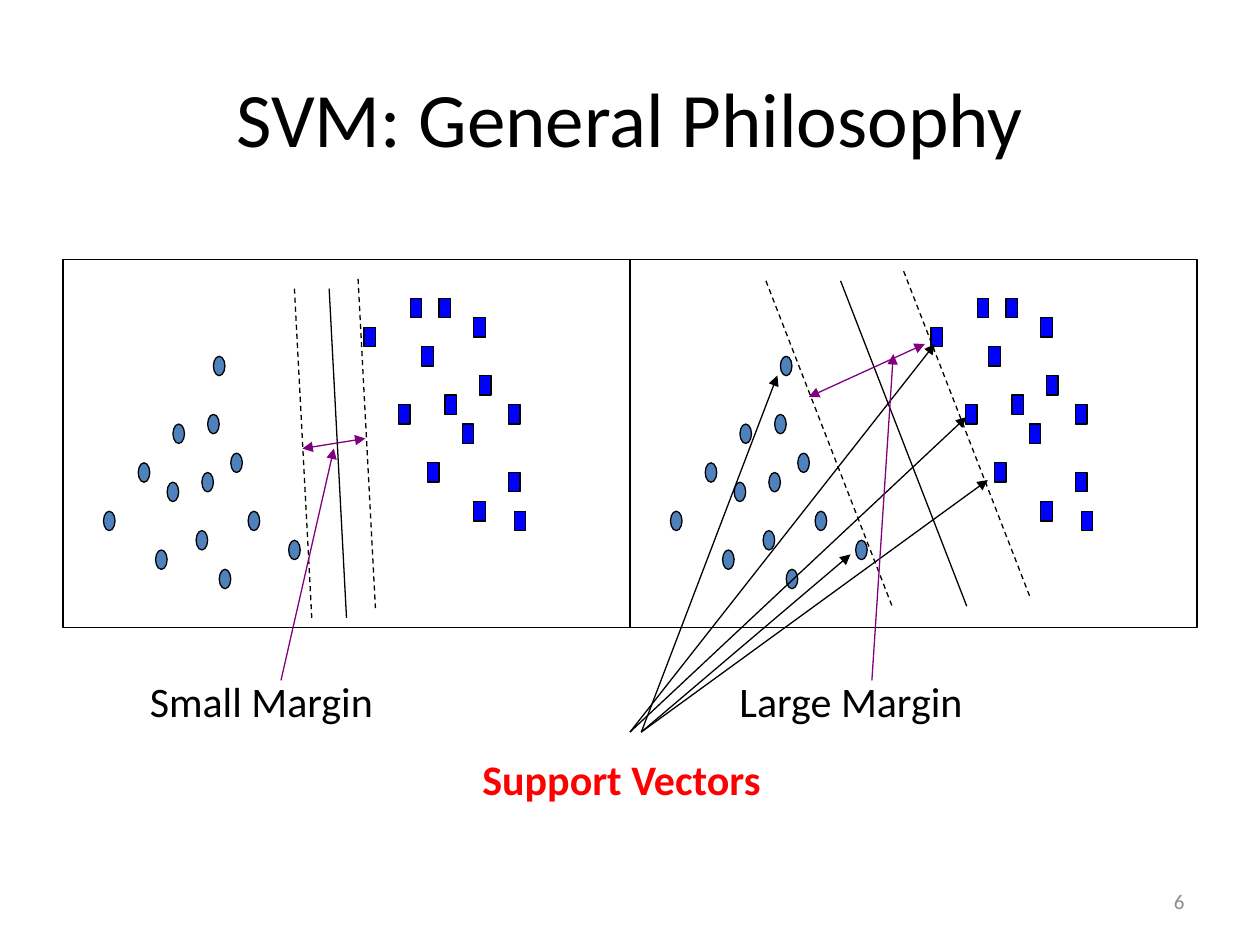
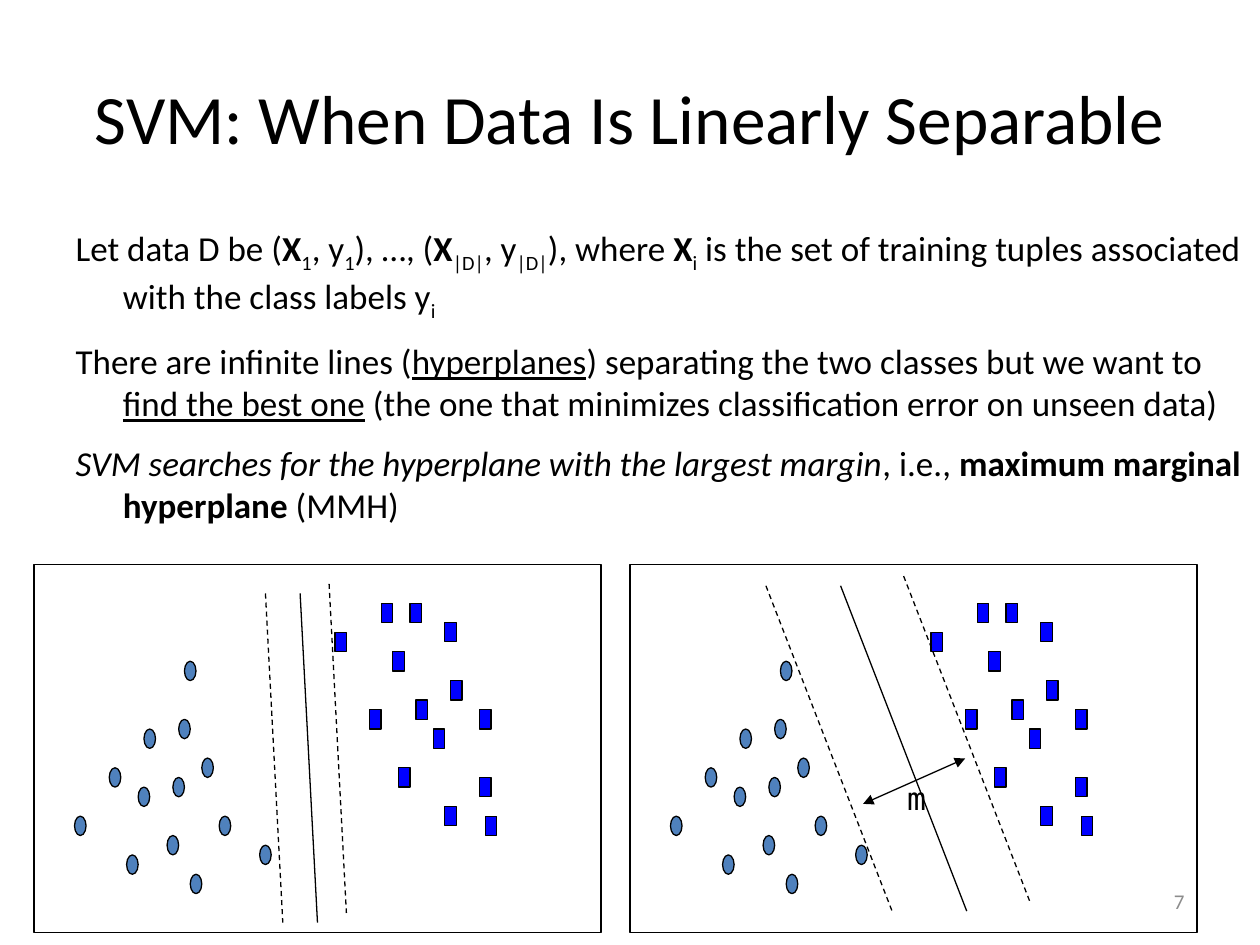
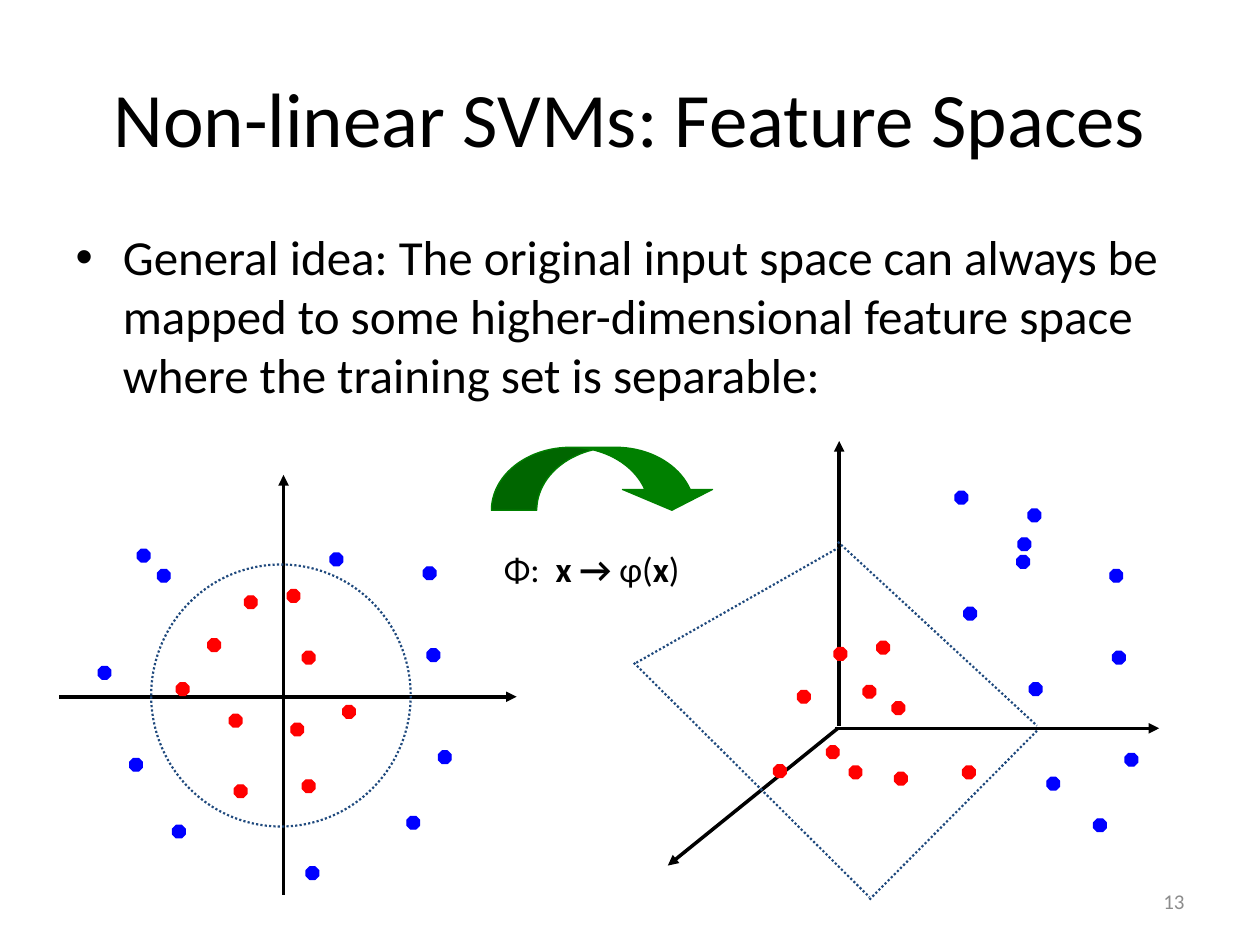
from lxml.etree import SubElement
from pptx import Presentation
from pptx.dml.color import RGBColor
from pptx.enum.dml import MSO_LINE
from pptx.enum.shapes import MSO_CONNECTOR, MSO_SHAPE
from pptx.enum.text import MSO_ANCHOR, MSO_AUTO_SIZE, PP_ALIGN
from pptx.oxml.ns import qn
from pptx.util import Inches, Pt

BLACK = RGBColor(0x00, 0x00, 0x00)
GRAY = RGBColor(0x8C, 0x8C, 0x8C)
RED = RGBColor(0xFF, 0x00, 0x00)
BLUE = RGBColor(0x00, 0x00, 0xFF)
STEEL = RGBColor(0x4F, 0x81, 0xBD)
NAVY = RGBColor(0x1F, 0x49, 0x7D)
PURPLE = RGBColor(0x80, 0x00, 0x80)
GREEN = RGBColor(0x00, 0x80, 0x00)

COLUMNS, ROWS = 100, 75  # slide grid
TITLE_ONLY, TITLE_AND_BODY = 5, 1  # template layouts

# Run styles
BOLD, ITALIC, UNDERLINE = {"bold": True}, {"italic": True}, {"underline": True}
SUBSCRIPT = {"baseline": "-25000"}

# Scatter panels: size on the slide grid, and the finer cells inside
PANEL_WIDTH, PANEL_HEIGHT = 45, 29.2
CELL_X, CELL_Y = PANEL_WIDTH / 98, PANEL_HEIGHT / 38
CIRCLE_CLASS = [(16, 30), (18, 23), (7, 26), (13, 21), (23, 28), (19, 17), (24, 22),
                (25, 16), (29, 20), (32, 26), (27, 32), (39, 29), (26, 10)]
SQUARE_CLASS = [(58, 15), (52, 7), (60, 4), (63, 21), (62, 9), (66, 14), (65, 4),
                (71, 6), (69, 17), (72, 12), (71, 25), (77, 15), (77, 22), (78, 26)]
# Each boundary: start cell, end cell, dash
SMALL_MARGIN = [((51, 2), (54, 36), MSO_LINE.DASH), ((40, 3), (43, 37), MSO_LINE.DASH),
                ((46, 3), (49, 37), None)]
LARGE_MARGIN = [((23.5, 2.2), (45.3, 35.8), MSO_LINE.DASH),
                ((47.3, 1.2), (69.1, 34.8), MSO_LINE.DASH),
                ((36.4, 2.2), (58.2, 35.8), None)]


class Deck:
    """Holds the shared style and the current slide; lengths are grid columns and rows."""

    def __init__(self):
        self.file = Presentation()
        self.file.slide_width, self.file.slide_height = Inches(10), Inches(7.5)
        self.slide = None

    def x(self, columns):
        return round(self.file.slide_width * columns / COLUMNS)

    def y(self, rows):
        return round(self.file.slide_height * rows / ROWS)

    def box(self, left, top, width, height):
        return self.x(left), self.y(top), self.x(width), self.y(height)

    def place(self, holder, box):
        for side, length in zip(("left", "top", "width", "height"), self.box(*box)):
            setattr(holder, side, length)

    def add_runs(self, paragraph, runs, size, color=BLACK, font="Calibri"):
        for words, style in runs:
            run = paragraph.add_run()
            run.text = words
            run.font.color.rgb = color
            for name, value in {"name": font, "size": Pt(size), **style}.items():
                if name == "baseline":
                    run.font._element.set(name, value)
                else:
                    setattr(run.font, name, value)

    def start(self, title, number, layout=TITLE_AND_BODY, size=44):
        self.slide = self.file.slides.add_slide(self.file.slide_layouts[layout])
        heading = self.slide.shapes.title
        self.place(heading, (5, 3, 90, 12.5))
        heading.text_frame.auto_size = MSO_AUTO_SIZE.NONE
        self.add_runs(heading.text_frame.paragraphs[0], [(title, {})], size)
        self.text((71.7, 69.5, 23.3, 4), [(number, {})], 12, GRAY,
                  align=PP_ALIGN.RIGHT, anchor=MSO_ANCHOR.MIDDLE)

    def body(self, paragraphs, size, width=90, bullets=True, gap=None):
        holder = self.slide.placeholders[1]
        self.place(holder, (5, 17.5, width, 49.5))
        frame = holder.text_frame
        frame.auto_size = MSO_AUTO_SIZE.NONE
        for index, runs in enumerate(paragraphs):
            paragraph = frame.add_paragraph() if index else frame.paragraphs[0]
            self.add_runs(paragraph, runs, size)
            if gap:
                paragraph.space_before = Pt(gap)
            if not bullets:
                SubElement(paragraph._element.get_or_add_pPr(), qn("a:buNone"))

    def text(self, box, runs, size, color=BLACK, font="Calibri", wrap=True,
             align=PP_ALIGN.LEFT, anchor=MSO_ANCHOR.TOP):
        frame = self.slide.shapes.add_textbox(*self.box(*box)).text_frame
        frame.word_wrap, frame.vertical_anchor = wrap, anchor
        frame.paragraphs[0].alignment = align
        self.add_runs(frame.paragraphs[0], runs, size, color, font)

    def shape(self, kind, box, fill=None, line=BLACK, width=0.75, dash=None, adjust=()):
        shape = self.slide.shapes.add_shape(kind, *self.box(*box))
        shape.shadow.inherit = False
        if fill is None:
            shape.fill.background()
        else:
            shape.fill.solid()
            shape.fill.fore_color.rgb = fill
        self.stroke(shape.line, line, width, dash)
        for index, value in enumerate(adjust):
            shape.adjustments[index] = value

    def stroke(self, line, color, width, dash):
        line.color.rgb = color
        line.width = Pt(width)
        if dash:
            line.dash_style = dash

    def line(self, start, end, color=BLACK, width=0.75, dash=None, arrows=()):
        """Draw a line; arrows lists the ends that carry a triangle."""
        (x1, y1), (x2, y2) = start, end
        connector = self.slide.shapes.add_connector(
            MSO_CONNECTOR.STRAIGHT, self.x(x1), self.y(y1), self.x(x2), self.y(y2))
        self.stroke(connector.line, color, width, dash)
        properties = connector._element.spPr
        for end_name in arrows:
            SubElement(properties.find(qn("a:ln")), qn(f"a:{end_name}"), type="triangle")
        SubElement(properties, qn("a:effectLst"))

    def panel(self, left, top, boundaries):
        """Draw the two classes with a separating line and its margins."""
        def spot(cell):
            return left + cell[0] * CELL_X, top + cell[1] * CELL_Y

        for kind, fill, cells in ((MSO_SHAPE.OVAL, STEEL, CIRCLE_CLASS),
                                  (MSO_SHAPE.RECTANGLE, BLUE, SQUARE_CLASS)):
            for cell in cells:
                self.shape(kind, (*spot(cell), 2 * CELL_X, 2 * CELL_Y), fill)
        self.shape(MSO_SHAPE.RECTANGLE, (left, top, PANEL_WIDTH, PANEL_HEIGHT))
        for start, end, dash in boundaries:
            self.line(spot(start), spot(end), dash=dash)

    def dots(self, color, spots):
        for left, top in spots:
            self.shape(MSO_SHAPE.OCTAGON, (left, top, 1, 1), color, color, adjust=(0.29,))


TAIL, BOTH = ("tailEnd",), ("headEnd", "tailEnd")


def general_philosophy(deck):
    deck.start("SVM: General Philosophy", "6", TITLE_ONLY)
    deck.panel(5, 20.6, SMALL_MARGIN)
    deck.panel(50, 20.6, LARGE_MARGIN)

    # Support vectors
    deck.text((37.3, 59.3, 25.2, 5.1), [("Support Vectors", BOLD)], 24, RED, wrap=False)
    for origin, vector in ((50, (74.2, 27.3)), (50, (76.7, 33.1)), (50.9, (78.4, 38.1)),
                           (50.9, (67.5, 44)), (50.9, (61.7, 29.8))):
        deck.line((origin, 58.1), vector, arrows=TAIL)

    # Margin labels: left edge, words, margin width, pointer
    for left, words, margin, pointer in (
            (10.9, "Small Margin", ((24, 35.6), (29, 34.8)), ((22.3, 54), (26.5, 35.6))),
            (57.7, "Large Margin", ((64.2, 31.5), (73.4, 27.3)), ((69.2, 54), (70.9, 28.1)))):
        deck.text((left, 53.1, 20.5, 5.1), [(words, {})], 24, wrap=False)
        deck.line(*margin, PURPLE, arrows=BOTH)
        deck.line(*pointer, PURPLE, arrows=TAIL)


def linearly_separable(deck):
    deck.start("SVM: When Data Is Linearly Separable", "7", size=39.6)
    deck.body([
        [("Let data D be (", {}), ("X", BOLD), ("1", SUBSCRIPT), (", y", {}),
         ("1", SUBSCRIPT), ("), …, (", {}), ("X", BOLD), ("|D|", SUBSCRIPT), (", y", {}),
         ("|D|", SUBSCRIPT), ("), where ", {}), ("X", BOLD), ("i", SUBSCRIPT),
         (" is the set of training tuples associated with the class labels y", {}),
         ("i", SUBSCRIPT)],
        [("There are infinite lines (", {}), ("hyperplanes", UNDERLINE),
         (") separating the two classes but we want to ", {}),
         ("find the best one", UNDERLINE),
         (" (the one that minimizes classification error on unseen data)", {})],
        [("SVM searches for the hyperplane with the largest margin", ITALIC),
         (", i.e., ", {}), ("maximum marginal hyperplane", BOLD), (" (MMH)", {})],
    ], 20, width=95, bullets=False, gap=10)
    deck.panel(2.7, 44.8, SMALL_MARGIN)
    deck.panel(50, 44.8, LARGE_MARGIN)

    # Margin width m
    deck.line((68.5, 63.8), (76.6, 60.2), arrows=BOTH)
    deck.text((71, 61.3, 5.8, 4), [("m", {})], 18, font="DejaVu Sans Mono")


def feature_spaces(deck):
    deck.start("Non-linear SVMs: Feature Spaces", "13")
    deck.body([[("General idea: The original input space can always be mapped to some "
                 "higher-dimensional feature space where the training set is separable:",
                 {})]], 28)

    # Axes of the input space, then of the feature space
    for start, end in (((22.5, 71), (22.5, 37.7)), ((4.7, 55.3), (41, 55.3)),
                       ((66.6, 57.6), (66.6, 35)), ((66.3, 57.8), (92, 57.8)),
                       ((66.5, 57.8), (53, 68.7))):
        deck.line(start, end, width=2, arrows=TAIL)

    # Input space
    deck.dots(RED, [(22.8, 46.8), (16.5, 50.7), (18.2, 56.7), (24, 61.9), (19.4, 47.3),
                    (14, 54.2), (18.6, 62.3), (24, 51.7), (27.2, 56), (23.1, 57.4)])
    deck.dots(BLUE, [(33.9, 51.5), (32.3, 64.8), (7.8, 52.9), (24.3, 68.8), (34.8, 59.6),
                     (13.7, 65.5), (10.3, 60.2), (10.9, 43.6), (26.2, 43.9),
                     (12.5, 45.2), (33.6, 45)])
    deck.shape(MSO_SHAPE.OVAL, (12, 44.8, 20.6, 20.8), None, NAVY, 1.25,
               MSO_LINE.ROUND_DOT)

    # Feature space
    deck.dots(RED, [(69.6, 50.9), (63.3, 54.8), (67.4, 60.8), (76.4, 60.8), (66.2, 51.4),
                    (68.5, 54.4), (71, 61.3), (70.8, 55.7), (65.6, 59.2), (61.4, 60.7)])
    deck.dots(BLUE, [(88.3, 51.7), (86.8, 65), (81.6, 40.4), (81.7, 54.2), (89.3, 59.8),
                     (76.5, 48.2), (83.1, 61.7), (80.8, 42.7), (80.7, 44.1),
                     (75.8, 39), (88.1, 45.2)])
    for start, end in (((66.5, 43), (82.3, 57.6)), ((69, 71.4), (82.3, 58)),
                       ((50.5, 52.6), (66.5, 43.5)), ((50.3, 52.6), (69, 71.2))):
        deck.line(start, end, NAVY, 1.25, MSO_LINE.ROUND_DOT)

    # Mapping between the spaces
    deck.shape(MSO_SHAPE.CURVED_DOWN_ARROW, (39, 35.5, 17.9, 5), GREEN, GREEN,
               adjust=(0.72, 1.43, 0.33))
    deck.text((39, 43, 20.8, 4.3), [("Φ:  ", {}), ("x → ", BOLD), ("φ(", {}),
                                    ("x", BOLD), (")", {})], 20)


def main():
    deck = Deck()
    for build in (general_philosophy, linearly_separable, feature_spaces):
        build(deck)
    deck.file.save("out.pptx")


if __name__ == "__main__":
    main()
